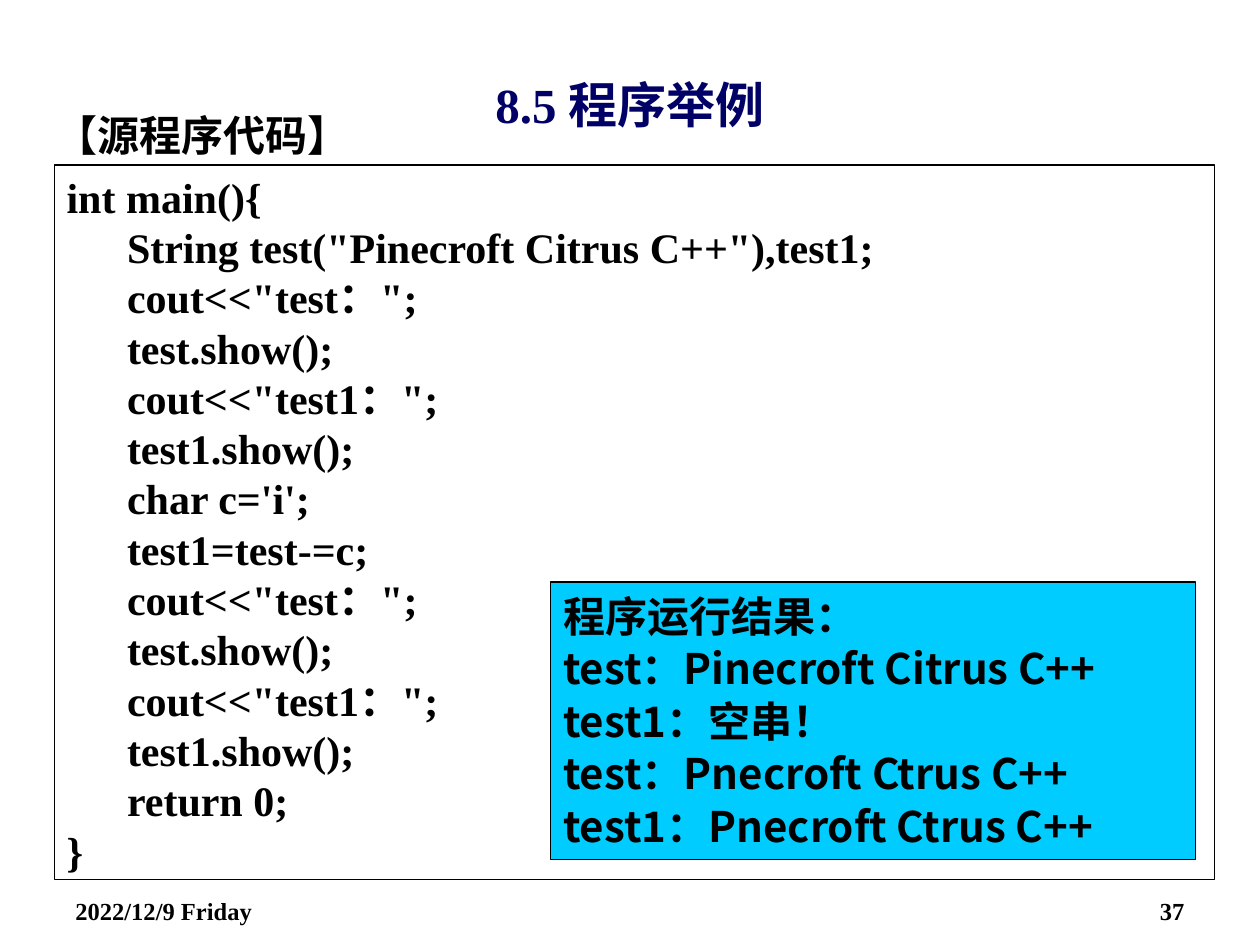
import pptx
import pptx.util
import pptx.dml.color
import pptx.enum.shapes
import pptx.enum.text
from lxml import etree

Inches, Pt = pptx.util.Inches, pptx.util.Pt
ALIGN = pptx.enum.text.PP_ALIGN
ANCHOR = pptx.enum.text.MSO_ANCHOR

SERIF = "Times New Roman"
CJK = "Noto Sans CJK SC"
COLORS = {"ink": "000000", "title": "000066", "result": "00CCFF"}


def write(frame, lines, size, font=SERIF, color="ink", align=ALIGN.LEFT, spacing=None):
    """Fill a text frame with bold lines; spacing is the line pitch in points."""
    frame.word_wrap = True
    frame.auto_size = pptx.enum.text.MSO_AUTO_SIZE.NONE
    frame.text = "\n".join(lines)
    for paragraph in frame.paragraphs:
        paragraph.alignment = align
        if spacing:
            paragraph.line_spacing = Pt(spacing)
        for run in paragraph.runs:
            run.font.size = Pt(size)
            run.font.bold = True
            run.font.name = font
            run.font.color.rgb = pptx.dml.color.RGBColor.from_string(COLORS[color])
            east_asian = etree.SubElement(
                run.font._element, pptx.oxml.ns.qn("a:ea"))
            east_asian.set("typeface", CJK)


def add_panel(left, top, width, height, fill=None):
    """Add a thin-bordered rectangle with text starting at its top."""
    panel = slide.shapes.add_shape(
        pptx.enum.shapes.MSO_SHAPE.RECTANGLE,
        Inches(left), Inches(top), Inches(width), Inches(height))
    panel.shadow.inherit = False
    if fill:
        panel.fill.solid()
        panel.fill.fore_color.rgb = pptx.dml.color.RGBColor.from_string(COLORS[fill])
    else:
        panel.fill.background()
    panel.line.color.rgb = pptx.dml.color.RGBColor.from_string(COLORS["ink"])
    panel.line.width = Pt(0.75)
    panel.text_frame.vertical_anchor = ANCHOR.TOP
    return panel


deck = pptx.Presentation()
deck.slide_width, deck.slide_height = Inches(10), Inches(7.5)
slide = deck.slides.add_slide(deck.slide_layouts[5])

# Date and page number
for left, label, align in [(0.5, "2022/12/9 Friday", ALIGN.LEFT),
                           (7.17, "37", ALIGN.RIGHT)]:
    footer = slide.shapes.add_textbox(
        Inches(left), Inches(7.06), Inches(2.33), Inches(0.29))
    write(footer.text_frame, [label], 14, align=align)

# Title and section heading
title = slide.shapes.title
title.left, title.top = Inches(0.5), Inches(0.52)
title.width, title.height = Inches(9), Inches(0.61)
title.text_frame.vertical_anchor = ANCHOR.MIDDLE
write(title.text_frame, ["8.5 程序举例"], 28, color="title", align=ALIGN.CENTER)

heading = slide.shapes.add_textbox(
    Inches(0.34), Inches(0.76), Inches(9.3), Inches(0.63))
write(heading.text_frame, ["【源程序代码】"], 24, spacing=33)

# Source code
show_both = [
    'cout<<"test：";',
    "test.show();",
    'cout<<"test1：";',
    "test1.show();",
]
body = [
    'String test("Pinecroft Citrus C++"),test1;',
    *show_both,
    "char c='i';",
    "test1=test-=c;",
    *show_both,
    "return 0;",
]
code = add_panel(0.43, 1.31, 9.21, 5.67)
write(code.text_frame, ["int main(){", *body, "}"], 24, spacing=28.75)
for statement in code.text_frame.paragraphs[1:-1]:
    statement.level = 1
    properties = statement._p.get_or_add_pPr()
    properties.set("marL", str(Inches(0.78)))
    properties.set("indent", str(Inches(-0.3)))

# Program output
result = add_panel(4.37, 4.62, 5.12, 2.2, fill="result")
write(result.text_frame, [
    "程序运行结果：",
    "test：Pinecroft Citrus C++",
    "test1：空串！",
    "test：Pnecroft Ctrus C++",
    "test1：Pnecroft Ctrus C++",
], 24, font=CJK, spacing=30)

deck.save("out.pptx")
